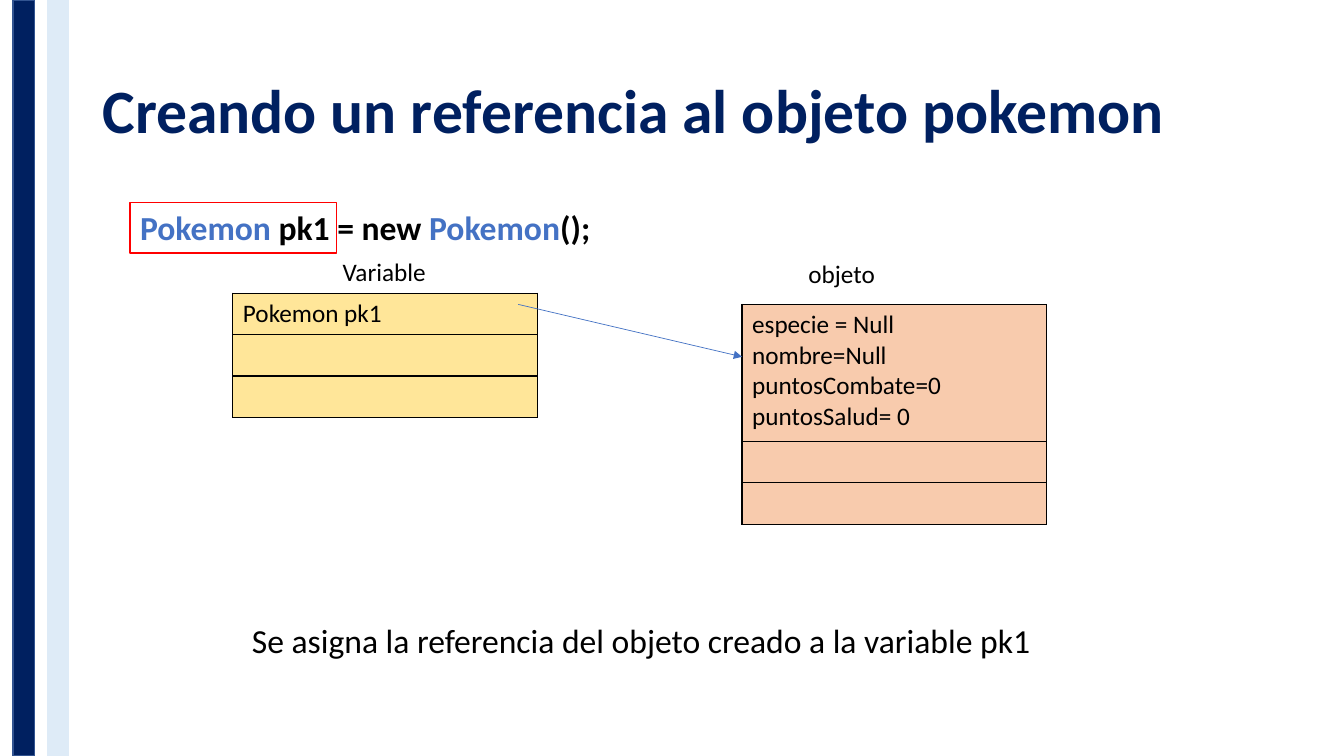
from dataclasses import dataclass

from lxml.etree import SubElement
from pptx import Presentation
from pptx.dml.color import RGBColor
from pptx.enum.shapes import MSO_CONNECTOR, MSO_SHAPE
from pptx.enum.text import MSO_ANCHOR, MSO_AUTO_SIZE
from pptx.oxml.ns import qn
from pptx.slide import Slide
from pptx.text.text import _Paragraph
from pptx.util import Inches, Pt

COLORS = {
    "navy": "002060",
    "navy_edge": "325491",
    "pale_blue": "DEEBF7",
    "blue": "4472C4",
    "black": "000000",
    "red": "FF0000",
    "yellow": "FFE699",
    "orange": "F8CBAD",
}
FONT = "Calibri"


@dataclass
class Box:
    left: float
    top: float
    width: float
    height: float
    line: str
    fill: str | None = None


@dataclass
class Label:
    left: float
    top: float
    width: float
    height: float
    runs: list[tuple[str, str]]
    size: int
    bold: bool = False
    anchor: MSO_ANCHOR = MSO_ANCHOR.TOP
    line_spacing: float | None = None


@dataclass
class MemoryTable:
    left: float
    top: float
    fill: str
    row_heights: list[float]
    lines: list[str]


STRIPES = [
    Box(0.13, 0, 0.21, 7.5, "navy_edge", "navy"),
    Box(0.47, 0, 0.21, 7.5, "pale_blue", "pale_blue"),
]
DECLARATION_FRAME = Box(1.29, 2.01, 2.05, 0.5, "red")
LABELS = [
    Label(0.92, 0.4, 11.5, 1.45, [("Creando un referencia al objeto pokemon", "navy")],
          44, True, MSO_ANCHOR.MIDDLE, 0.9),
    Label(1.29, 2, 7.62, 0.5,
          [("Pokemon ", "blue"), ("pk1 = new ", "black"), ("Pokemon", "blue"), ("();", "black")],
          24, True),
    Label(2.4, 6.1, 8.54, 0.5,
          [("Se asigna la referencia del objeto creado a la variable pk1", "black")], 24),
    Label(3.3, 2.49, 1.73, 0.4, [("Variable", "black")], 18),
    Label(7.92, 2.51, 1.73, 0.4, [("objeto", "black")], 18),
]
TABLE_WIDTH = 3.02
MEMORY_TABLES = [
    MemoryTable(7.36, 3.02, "orange", [1.36, 0.41, 0.41],
                ["especie = Null", "nombre=Null", "puntosCombate=0", "puntosSalud= 0"]),
    MemoryTable(2.31, 2.91, "yellow", [0.41, 0.41, 0.41], ["Pokemon pk1"]),
]


def rgb(color: str) -> RGBColor:
    return RGBColor.from_string(COLORS[color])


def set_font(paragraph: _Paragraph, size: int, bold: bool = False) -> None:
    paragraph.font.name = FONT
    paragraph.font.size = Pt(size)
    paragraph.font.bold = bold


def add_box(slide: Slide, box: Box) -> None:
    shape = slide.shapes.add_shape(MSO_SHAPE.RECTANGLE, Inches(box.left), Inches(box.top),
                                   Inches(box.width), Inches(box.height))
    shape.shadow.inherit = False
    shape.line.color.rgb = rgb(box.line)
    shape.line.width = Pt(1)
    if box.fill:
        shape.fill.solid()
        shape.fill.fore_color.rgb = rgb(box.fill)
    else:
        shape.fill.background()


def add_label(slide: Slide, label: Label) -> None:
    frame = slide.shapes.add_textbox(Inches(label.left), Inches(label.top),
                                     Inches(label.width), Inches(label.height)).text_frame
    frame.word_wrap = True
    frame.vertical_anchor = label.anchor
    if label.anchor == MSO_ANCHOR.TOP:
        frame.auto_size = MSO_AUTO_SIZE.SHAPE_TO_FIT_TEXT
    paragraph = frame.paragraphs[0]
    paragraph.line_spacing = label.line_spacing
    set_font(paragraph, label.size, label.bold)
    for text, color in label.runs:
        run = paragraph.add_run()
        run.text = text
        run.font.color.rgb = rgb(color)


def add_memory_table(slide: Slide, memory: MemoryTable) -> None:
    table = slide.shapes.add_table(len(memory.row_heights), 1, Inches(memory.left),
                                   Inches(memory.top), Inches(TABLE_WIDTH),
                                   Inches(sum(memory.row_heights))).table
    table.first_row = False
    table.horz_banding = False
    table.cell(0, 0).text = "\n".join(memory.lines)
    for index, height in enumerate(memory.row_heights):
        table.rows[index].height = Inches(height)
        cell = table.cell(index, 0)
        for paragraph in cell.text_frame.paragraphs:
            set_font(paragraph, 18)
            paragraph.font.color.rgb = rgb("black")
        properties = cell._tc.get_or_add_tcPr()
        for side in ("a:lnL", "a:lnR", "a:lnT", "a:lnB"):
            border = SubElement(properties, qn(side), w=str(Pt(1)))
            SubElement(SubElement(border, qn("a:solidFill")), qn("a:srgbClr"), val=COLORS["black"])
        cell.fill.solid()
        cell.fill.fore_color.rgb = rgb(memory.fill)


def add_reference_arrow(slide: Slide) -> None:
    arrow = slide.shapes.add_connector(MSO_CONNECTOR.STRAIGHT, Inches(5.14), Inches(3.02),
                                       Inches(7.36), Inches(3.54))
    arrow.line.color.rgb = rgb("blue")
    arrow.line.width = Pt(0.5)
    SubElement(arrow.line._get_or_add_ln(), qn("a:tailEnd"), type="triangle")
    SubElement(arrow._element.spPr, qn("a:effectLst"))


def main() -> None:
    presentation = Presentation()
    presentation.slide_width = Inches(13.33)
    presentation.slide_height = Inches(7.5)
    slide = presentation.slides.add_slide(presentation.slide_layouts[6])
    for stripe in STRIPES:
        add_box(slide, stripe)
    for memory in MEMORY_TABLES:
        add_memory_table(slide, memory)
    for label in LABELS:
        add_label(slide, label)
    add_box(slide, DECLARATION_FRAME)
    add_reference_arrow(slide)
    presentation.save("out.pptx")


if __name__ == "__main__":
    main()
